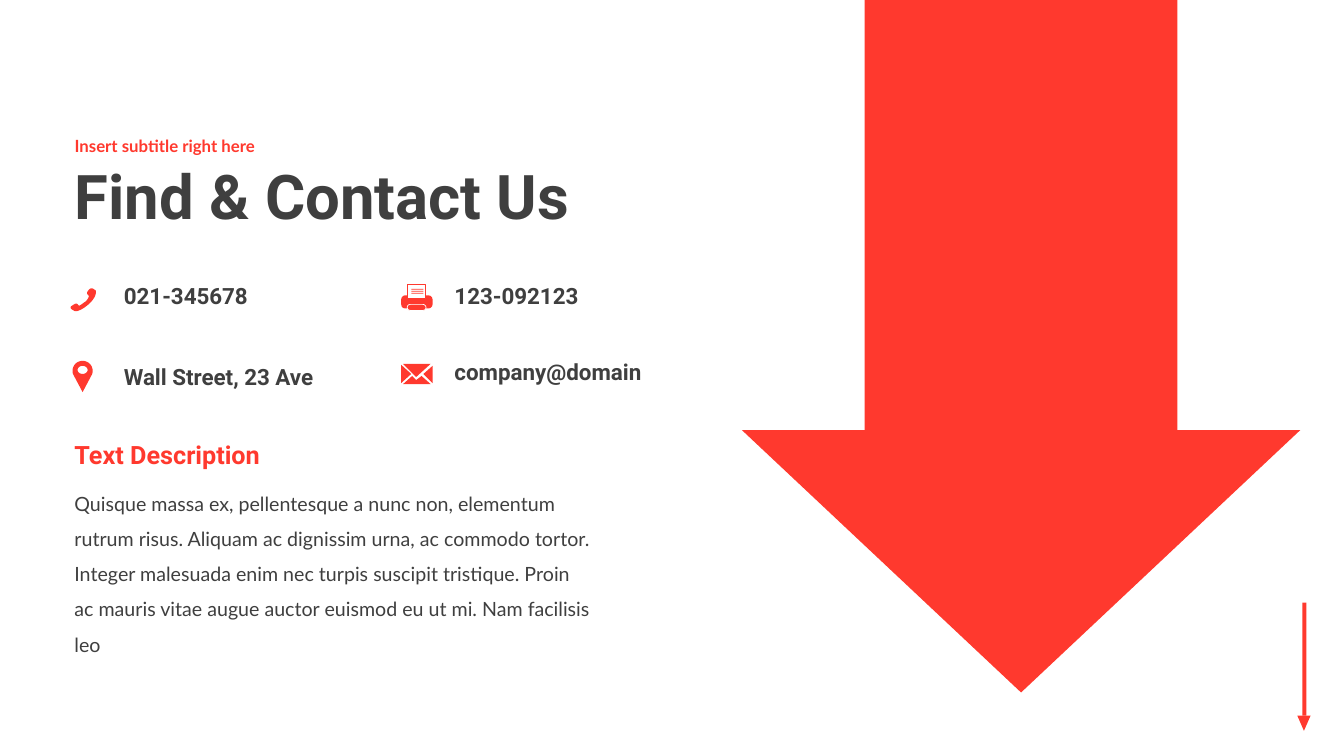
"""Build the contact slide with a large arrow and drawn contact icons."""
import math
from pptx import Presentation
from pptx import util as u
from pptx.dml.color import RGBColor
from pptx.enum import shapes, text

W, H = u.Inches(13.33), u.Inches(7.5)
RED = RGBColor(0xFF, 0x39, 0x2E)
DARK = RGBColor(0x3F, 0x3F, 0x3F)
WHITE = RGBColor(0xFF, 0xFF, 0xFF)
MARGIN, COL_1, COL_2, ICON_2 = 4.8, 8.48, 33.08, 29.85
KIND = shapes.MSO_SHAPE

PHONE = [
    [(71, 35), (68, 31), (61, 27), (71, 15)],
    [(71, 15), (82, 0), (89, 12), (96, 15)],
    [(96, 15), (100, 23), (96, 46), (71, 69)],
    [(71, 69), (46, 92), (25, 100), (18, 92)],
    [(18, 92), (11, 88), (0, 81), (14, 73)],
    [(14, 73), (29, 62), (29, 65), (36, 73)],
    [(36, 73), (39, 77), (50, 65), (61, 58)],
    [(61, 58), (68, 50), (75, 38), (71, 35)],
]
ENVELOPE = [
    [(6, 0), (94, 0), (48, 65)],
    [(100, 10), (71, 50), (100, 95)],
    [(0, 5), (32, 50), (0, 95)],
    [(6, 100), (35, 60), (48, 80), (65, 60), (94, 100)],
]
DESCRIPTION = (
    "Quisque massa ex, pellentesque a nunc non, elementum rutrum risus. "
    "Aliquam ac dignissim urna, ac commodo tortor. Integer malesuada enim nec "
    "turpis suscipit tristique. Proin ac mauris vitae augue auctor euismod eu "
    "ut mi. Nam facilisis leo"
)


def place(x, y, w, h):
    """Turn percentages of the slide's size into lengths."""
    return [round(v * side / 100) for v, side in ((x, W), (y, H), (w, W), (h, H))]


def paint(sp, fill=RED, line=None):
    """Give a shape a flat fill and an optional thin outline."""
    sp.shadow.inherit = False
    sp.fill.solid()
    sp.fill.fore_color.rgb = fill
    if line is None:
        sp.line.fill.background()
    else:
        sp.line.color.rgb = line
        sp.line.width = u.Pt(0.5)
    return sp


def add_preset(s, kind, box, fill=RED, line=None):
    """Add a painted preset shape."""
    return paint(s.shapes.add_shape(kind, *place(*box)), fill, line)


def add_outline(s, box, contours):
    """Add a freeform from contours given as percentages of its box."""
    left, top, width, height = place(*box)
    contours = [[(left + px * width / 100, top + py * height / 100)
                 for px, py in contour] for contour in contours]
    builder = s.shapes.build_freeform(*contours[0][0])
    for i, contour in enumerate(contours):
        if i:
            builder.move_to(*contour[0])
        builder.add_line_segments(contour[1:], close=True)
    return paint(builder.convert_to_shape())


def curve(a, b, c, d, steps=8):
    """Sample a cubic curve, leaving out its last point."""
    ts = [i / steps for i in range(steps)]
    return [tuple((1 - t) ** 3 * p0 + 3 * (1 - t) ** 2 * t * p1
                  + 3 * (1 - t) * t ** 2 * p2 + t ** 3 * p3
                  for p0, p1, p2, p3 in zip(a, b, c, d)) for t in ts]


def arc(cx, cy, rx, ry, start, end, steps=32):
    """Sample an elliptical arc between two angles in degrees."""
    angles = [math.radians(start + (end - start) * i / steps)
              for i in range(steps + 1)]
    return [(cx + rx * math.cos(a), cy + ry * math.sin(a)) for a in angles]


def write(sp, words, size, font, color, bold=True, spacing=1.0):
    """Fill a text shape with one formatted run."""
    tf = sp.text_frame
    tf.word_wrap = True
    p = tf.paragraphs[0]
    p.alignment = text.PP_ALIGN.LEFT
    p.line_spacing = spacing
    p.space_before = u.Pt(0)
    r = p.add_run()
    r.text = words
    r.font.size, r.font.name, r.font.bold = u.Pt(size), font, bold
    r.font.color.rgb = color
    return tf


def add_text(s, box, *args, **kwargs):
    """Add a text box that grows with its text."""
    tf = write(s.shapes.add_textbox(*place(*box)), *args, **kwargs)
    tf.auto_size = text.MSO_AUTO_SIZE.SHAPE_TO_FIT_TEXT


def fill_placeholder(sp, box, *args):
    """Move a placeholder and write its vertically centred text."""
    sp.left, sp.top, sp.width, sp.height = place(*box)
    tf = write(sp, *args, spacing=0.9)
    tf.auto_size = text.MSO_AUTO_SIZE.NONE
    tf.vertical_anchor = text.MSO_ANCHOR.MIDDLE


def add_arrows(s):
    """Add the small corner arrow and the large one."""
    add_preset(s, KIND.RECTANGLE, (96.9, 79.73, 0.3, 14.93))
    add_preset(s, KIND.ISOSCELES_TRIANGLE, (96.53, 94.67, 0.98, 2)).rotation = 180
    big = add_preset(s, KIND.DOWN_ARROW, (55.2, -8, 41.55, 99.6))
    big.adjustments[0], big.adjustments[1] = 0.56, 0.47


def add_printer(s):
    """Add the printer icon: body, paper, printed lines and tray."""
    body = add_preset(s, KIND.ROUNDED_RECTANGLE, (ICON_2, 39.07, 2.33, 1.73))
    body.adjustments[0] = 0.3
    add_preset(s, KIND.RECTANGLE, (30.33, 37.67, 1.35, 1.8), WHITE, RED)
    for i in range(3):
        add_preset(s, KIND.RECTANGLE, (30.6, 38.2 + 0.27 * i, 0.9, 0.1))
    tray = add_preset(s, KIND.ROUNDED_RECTANGLE, (30.3, 40.27, 1.4, 0.8), RED, WHITE)
    tray.adjustments[0] = 0.5


def add_icons(s):
    """Add the four contact icons."""
    add_outline(s, (5.1, 37.87, 2.1, 3.47),
                [[pt for part in PHONE for pt in curve(*part)]])
    add_outline(s, (5.4, 47.73, 1.5, 4.13),
                [arc(50, 32, 50, 32, -200, 20) + [(50, 100)],
                 arc(50, 29, 25, 13, 0, 360)])
    add_printer(s)
    add_outline(s, (ICON_2, 48.13, 2.33, 2.67), ENVELOPE)


def main():
    """Build and save the slide."""
    prs = Presentation()
    prs.slide_width, prs.slide_height = W, H
    s = prs.slides.add_slide(prs.slide_layouts[0])
    add_arrows(s)
    fill_placeholder(s.shapes.title, (MARGIN, 19.47, 56.25, 13.73),
                     "Find & Contact Us", 44, "Roboto", DARK)
    fill_placeholder(s.placeholders[1], (MARGIN, 16.93, 56.25, 5.07),
                     "Insert subtitle right here", 12, "Lato", RED)
    add_text(s, (MARGIN, 62.8, 39.98, 19.73), DESCRIPTION, 14, "Lato", DARK,
             bold=False, spacing=1.5)
    add_text(s, (MARGIN, 57.47, 21.9, 5.33), "Text Description", 18, "Roboto", RED)
    for x, y, w, words in (
        (COL_1, 36.67, 16.5, "021-345678"),
        (COL_2, 46.67, 23.03, "company@domain"),
        (COL_2, 36.67, 23.03, "123-092123"),
        (COL_1, 47.33, 20.25, "Wall Street, 23 Ave"),
    ):
        add_text(s, (x, y, w, 4.93), words, 16, "Roboto", DARK)
    add_icons(s)
    prs.save("out.pptx")


if __name__ == "__main__":
    main()
